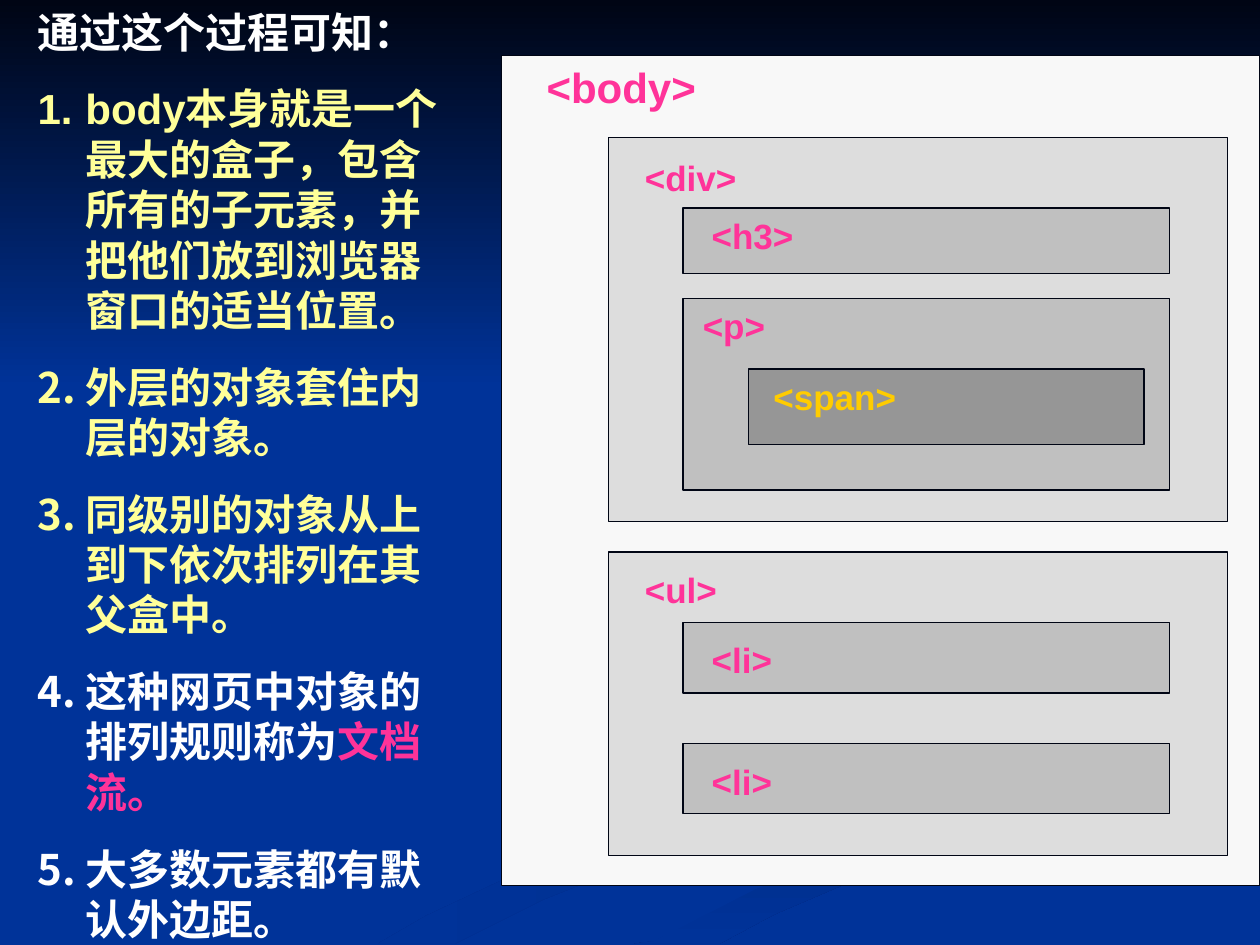
from lxml.etree import SubElement
from pptx import Presentation
from pptx.dml.color import RGBColor
from pptx.enum.lang import MSO_LANGUAGE_ID
from pptx.enum.shapes import MSO_SHAPE
from pptx.oxml.ns import qn
from pptx.util import Inches, Pt

NAVY = RGBColor(0x00, 0x33, 0x99)
NIGHT = RGBColor(0x00, 0x05, 0x14)
DUSK = RGBColor(0x00, 0x2E, 0x8A)
DEEP = RGBColor(0x00, 0x29, 0x7C)
PAPER = RGBColor(0xF8, 0xF8, 0xF8)
LIGHT = RGBColor(0xDD, 0xDD, 0xDD)
SILVER = RGBColor(0xC0, 0xC0, 0xC0)
GRAY = RGBColor(0x96, 0x96, 0x96)
PINK = RGBColor(0xFF, 0x33, 0x99)
GOLD = RGBColor(0xFF, 0xCC, 0x00)
YELLOW = RGBColor(0xFF, 0xFF, 0x99)
WHITE = RGBColor(0xFF, 0xFF, 0xFF)

HEADING = "通过这个过程可知："
POINTS = [
    [("body本身就是一个最大的盒子，包含所有的子元素，并把他们放到浏览器窗口的适当位置。", YELLOW)],
    [("外层的对象套住内层的对象。", YELLOW)],
    [("同级别的对象从上到下依次排列在其父盒中。", YELLOW)],
    [("这种网页中对象的排列规则称为", WHITE), ("文档流。", PINK)],
    [("大多数元素都有默认外边距。", WHITE)],
]

# Nesting level: left, width, fill, label colour, label size
LEVELS = [
    (3.98, 6.02, PAPER, PINK, 24),
    (4.83, 4.91, LIGHT, PINK, 20),
    (5.42, 3.86, SILVER, PINK, 20),
    (5.94, 3.14, GRAY, GOLD, 20),
]
# Tag, level, top, height, label left, label top, label width
ELEMENTS = [
    ("<body>", 0, 0.44, 6.59, 4.24, 0.44, 1.96),
    ("<div>", 1, 1.09, 3.05, 5.02, 1.19, 1.44),
    ("<h3>", 2, 1.65, 0.52, 5.55, 1.65, 1.64),
    ("<p>", 2, 2.37, 1.52, 5.48, 2.37, 1.64),
    ("<span>", 3, 2.93, 0.6, 6.04, 2.93, 1.33),
    ("<ul>", 1, 4.38, 2.41, 5.02, 4.46, 1.44),
    ("<li>", 2, 4.94, 0.56, 5.55, 5.02, 1.64),
    ("<li>", 2, 5.9, 0.56, 5.55, 5.99, 1.64),
]

# Background swirls: outline, first gradient colour, gradient angle
SWIRLS = [
    ([(7.81, 5.53), (7.45, 5.38), (6.82, 5.19), (6.26, 5.02), (5.94, 4.85),
      (5.76, 4.69), (5.75, 4.59), (5.7, 4.72), (5.86, 4.87), (6.31, 5.05),
      (6.97, 5.25), (7.52, 5.43), (7.81, 5.56), (7.86, 5.66), (7.74, 5.83),
      (7.39, 5.98), (6.84, 6.13), (5.79, 6.39), (4.99, 6.61), (4.17, 6.9),
      (3.38, 7.27), (3, 7.49), (3.61, 7.49), (4.31, 7.14), (4.99, 6.87),
      (5.94, 6.56), (6.99, 6.28), (7.69, 6.09), (7.95, 5.92), (8, 5.81),
      (7.92, 5.61)], DUSK, 180),
    ([(5.03, 7.49), (5.71, 7.49), (6.14, 7.26), (6.7, 7.02), (7.52, 6.72),
      (8.61, 6.4), (9.98, 6.09), (9.98, 5.81), (9.63, 5.94), (9.03, 6.1),
      (7.64, 6.47), (6.62, 6.81), (5.99, 7.06), (5.43, 7.33), (5.19, 7.47)],
     DEEP, 270),
    ([(7.25, 4.64), (7.34, 4.83), (7.75, 5.03), (8.51, 5.24), (9.2, 5.47),
      (9.42, 5.66), (9.4, 5.83), (9.11, 6), (8.43, 6.18), (7.43, 6.43),
      (6.63, 6.68), (5.73, 7.03), (4.77, 7.49), (5.19, 7.47), (5.99, 7.06),
      (6.96, 6.69), (7.97, 6.38), (9.04, 6.1), (9.99, 5.81), (9.99, 5.38),
      (9.41, 5.27), (8.48, 5.03), (7.94, 4.8), (7.81, 4.63), (8, 4.42),
      (8.5, 4.27), (9.33, 4.15), (9.99, 4.02), (9.99, 3.87), (9.42, 3.99),
      (8.3, 4.15), (7.55, 4.32), (7.3, 4.49)], NAVY, 270),
]


def fade_to_navy(shape, start, angle):
    shape.shadow.inherit = False
    shape.line.fill.background()
    shape.fill.gradient()
    shape.fill.gradient_angle = angle
    for stop, color in zip(shape.fill.gradient_stops, (start, NAVY)):
        stop.color.rgb = color


def add_run(paragraph, text, color, size):
    run = paragraph.add_run()
    run.text = text
    font = run.font
    font.name, font.size, font.bold = "Arial", Pt(size), True
    font.color.rgb = color
    font.language_id = MSO_LANGUAGE_ID.SIMPLIFIED_CHINESE


def add_frame(shapes, left, top, width, height):
    frame = shapes.add_textbox(*map(Inches, (left, top, width, height))).text_frame
    frame.word_wrap = True
    return frame


def set_hanging(paragraph, number_color=None):
    """Hang the paragraph's first line, with a running number if a colour is given."""
    properties = paragraph._p.get_or_add_pPr()
    properties.set("marL", str(Inches(0.38)))
    properties.set("indent", str(Inches(-0.38)))
    if number_color is not None:
        bullet_color = SubElement(properties, qn("a:buClr"))
        SubElement(bullet_color, qn("a:srgbClr"), val=str(number_color))
        SubElement(properties, qn("a:buAutoNum"), type="arabicPeriod")


def main():
    deck = Presentation()
    deck.slide_width, deck.slide_height = Inches(10), Inches(7.5)
    slide = deck.slides.add_slide(deck.slide_layouts[6])
    shapes = slide.shapes
    slide.background.fill.solid()
    slide.background.fill.fore_color.rgb = NAVY

    for outline, start, angle in SWIRLS:
        points = [(Inches(x), Inches(y)) for x, y in outline]
        builder = shapes.build_freeform(*points[0])
        builder.add_line_segments(points[1:], close=True)
        fade_to_navy(builder.convert_to_shape(), start, angle)
    sky = shapes.add_shape(MSO_SHAPE.RECTANGLE, 0, 0, Inches(10), Inches(3.08))
    fade_to_navy(sky, NIGHT, 270)

    for tag, level, top, height, label_left, label_top, label_width in ELEMENTS:
        left, width, fill, color, size = LEVELS[level]
        box = shapes.add_shape(MSO_SHAPE.RECTANGLE,
                               *map(Inches, (left, top, width, height)))
        box.shadow.inherit = False
        box.fill.solid()
        box.fill.fore_color.rgb = fill
        box.line.color.rgb = NIGHT
        box.line.width = Pt(0.75)
        label = add_frame(shapes, label_left, label_top, label_width, size / 48)
        add_run(label.paragraphs[0], tag, color, size)

    notes = add_frame(shapes, 0.2, 0, 3.54, 7.54)
    set_hanging(notes.paragraphs[0])
    add_run(notes.paragraphs[0], HEADING, WHITE, 24)
    for point in POINTS:
        paragraph = notes.add_paragraph()
        paragraph.space_before = Pt(15)
        set_hanging(paragraph, point[0][1])
        for text, color in point:
            add_run(paragraph, text, color, 24)

    deck.save("out.pptx")


if __name__ == "__main__":
    main()
